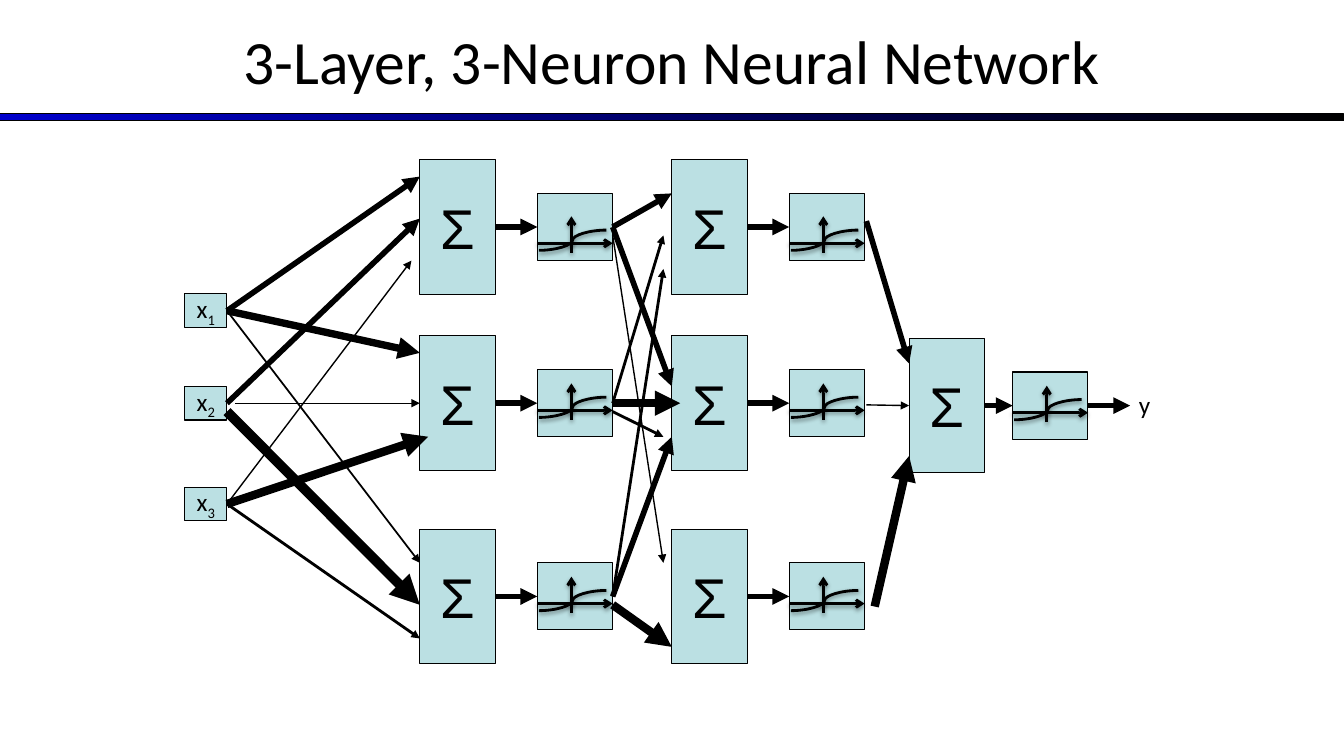
from lxml.etree import SubElement
from pptx import Presentation
from pptx.dml.color import RGBColor
from pptx.enum.shapes import MSO_CONNECTOR as LINK, MSO_SHAPE as SHAPE
from pptx.enum.text import MSO_ANCHOR as ANCHOR, PP_ALIGN as ALIGN
from pptx.oxml.ns import qn
from pptx.util import Cm, Pt

WIDTH, HEIGHT = 33.87, 19.05
STEP = 2.54 / 12
BLACK, BLUE, TEAL = "000000", "0000CC", "BBE0E3"
ROWS = [5.72, 10.16, 15.03]
INPUT_ROWS = [7.83, 10.16, 12.7]
PLOT_DROPS = [0.41, 0.18, 0.18]
RIGHT, LEFT = 3, 1

# Each weight: source, target, line width, start shift and end shift in steps.
INPUT_WEIGHTS = [
    (0, 2, 1.25, (0, 0), (0, -4)), (1, 2, 7, (0, 1), (0, 1)), (2, 2, 2, (0, 0), (0, 5)),
    (0, 1, 5.25, (0, 0), (0, -6)), (1, 1, 1, (1, 0), (0, 0)), (2, 1, 6, (0, 0), (1, 4)),
    (0, 0, 4, (0, 0), (0, -6)), (1, 0, 4, (0, 0), (0, -1)), (2, 0, 1, (0, 0), (-1, 4)),
]
HIDDEN_WEIGHTS = [
    (0, 0, 4, (0, 0), (0, -4)), (0, 1, 4, (0, 0), (0, -2)), (0, 2, 1, (0, 1), (-1, -4)),
    (2, 2, 6, (0, 1), (0, 6)), (1, 1, 6, (0, 0), (1, 0)), (2, 1, 4, (0, 0), (0, 4)),
    (2, 0, 2, (0, 0), (-1, 5)), (1, 0, 2, (0, 0), (-1, 1)), (1, 1, 2, (0, 1), (-1, 4)),
]
OUTPUT_WEIGHTS = [
    (2, 0, 6, (1.2, 1.2), (0, 6)), (1, 0, 1, (0.2, 0.2), (0, 0)),
    (0, 0, 4, (0.2, -0.7), (0, -5)),
]


def colour(code):
    """Turn a hex string into a colour."""
    return RGBColor.from_string(code)


def write(box, text, size=18, font="Calibri", align=ALIGN.CENTER, subscript="",
          anchor=ANCHOR.MIDDLE, wrap=False):
    """Write one formatted line of text, with an optional subscript."""
    frame = box.text_frame
    frame.word_wrap = wrap
    frame.vertical_anchor = anchor
    para = frame.paragraphs[0]
    para.alignment = align
    for part in filter(None, (text, subscript)):
        span = para.add_run()
        span.text = part
        span.font.size, span.font.name = Pt(size), font
        span.font.color.rgb = colour(BLACK)
    if subscript:
        span.font._element.set("baseline", "-25000")


def add_box(page, left, middle, width, height, fill=TEAL):
    """Add an outlined rectangle centred on a height."""
    box = page.shapes.add_shape(SHAPE.RECTANGLE, Cm(left), Cm(middle - height / 2),
                                Cm(width), Cm(height))
    box.shadow.inherit = False
    box.fill.solid()
    box.fill.fore_color.rgb = colour(fill)
    box.line.color.rgb, box.line.width = colour(BLACK), Pt(0.75)
    return box


def add_line(page, start, end, width, head="triangle", kind=LINK.STRAIGHT, shadow=False):
    """Add a line between two points, with an arrowhead and a shadow if asked."""
    line = page.shapes.add_connector(kind, *(int(value) for value in (*start, *end)))
    line.line.color.rgb, line.line.width = colour(BLACK), Pt(width)
    properties = line._element.spPr
    if head:
        SubElement(properties.find(qn("a:ln")), qn("a:tailEnd"), type=head)
    effects = SubElement(properties, qn("a:effectLst"))
    if shadow:
        outer = SubElement(effects, qn("a:outerShdw"), blurRad=str(Pt(3.1)),
                           dist=str(Pt(1.6)), dir="5400000", rotWithShape="0")
        shade = SubElement(outer, qn("a:srgbClr"), val=BLACK)
        SubElement(shade, qn("a:alpha"), val="38000")
    return line


def join(page, source, target, width=4, start_shift=(0, 0), end_shift=(0, 0)):
    """Draw an arrow from the right side of one box to the left side of another."""
    start = (source.left + source.width + Cm(start_shift[0] * STEP),
             source.top + source.height / 2 + Cm(start_shift[1] * STEP))
    end = (target.left + Cm(end_shift[0] * STEP),
           target.top + target.height / 2 + Cm(end_shift[1] * STEP))
    arrow = add_line(page, start, end, width)
    if not any(start_shift):
        arrow.begin_connect(source, RIGHT)
    if not any(end_shift):
        arrow.end_connect(target, LEFT)


def join_layers(page, sources, targets, weights):
    """Draw every weighted arrow between two layers."""
    for source, target, width, start_shift, end_shift in weights:
        join(page, sources[source], targets[target], width, start_shift, end_shift)


def add_sigmoid(page, left, axis):
    """Draw the axes and the sigmoid curve inside an activation box."""
    for x1, y1, x2, y2, head, kind in (
            (0, 0, 1.9, 0, "arrow", LINK.STRAIGHT),
            (0.86, 0.24, 0.86, -0.68, "arrow", LINK.STRAIGHT),
            (0.04, 0.18, 1.74, -0.33, None, LINK.CURVE)):
        add_line(page, (Cm(left + x1), Cm(axis + y1)), (Cm(left + x2), Cm(axis + y2)),
                 2, head, kind, shadow=True)


def add_neuron(page, left, middle, gap=1.06, drop=0.18):
    """Draw a sum box and its activation box, and return both."""
    total = add_box(page, left, middle, 1.9, 3.39)
    write(total, "Σ", size=40, font="Arial")
    activation_left = left + 1.9 + gap
    activation = add_box(page, activation_left, middle, 1.9, 1.69)
    join(page, total, activation)
    add_sigmoid(page, activation_left, middle + drop)
    return total, activation


def add_layer(page, left):
    """Draw a column of three neurons and return its sums and activations."""
    return zip(*(add_neuron(page, left, middle, drop=drop)
                 for middle, drop in zip(ROWS, PLOT_DROPS)))


def add_inputs(page, left):
    """Draw the column of input boxes."""
    boxes = []
    for number, middle in enumerate(INPUT_ROWS, 1):
        box = add_box(page, left, middle, 1.06, 0.85)
        write(box, "x", subscript=str(number))
        boxes.append(box)
    return boxes


def add_output(page, left, middle):
    """Draw the output neuron with its arrow and label, and return its sum box."""
    total, activation = add_neuron(page, left, middle, gap=0.71)
    edge = left + 4.51
    arrow = add_line(page, (Cm(edge), Cm(middle)), (Cm(edge + 1.06), Cm(middle)), 4)
    arrow.begin_connect(activation, RIGHT)
    label = page.shapes.add_textbox(Cm(edge + 1.03), Cm(middle - 0.54), Cm(1.17), Cm(1.12))
    write(label, "y", align=ALIGN.LEFT, anchor=ANCHOR.TOP, wrap=True)
    return total


def add_header(page, text):
    """Draw the title and the gradient bar below it."""
    bar = add_box(page, 0, 2.96, WIDTH, 0.18)
    bar.fill.gradient()
    bar.fill.gradient_angle = 0
    for stop, code in zip(bar.fill.gradient_stops, (BLUE, BLACK)):
        stop.color.rgb = colour(code)
    title = page.shapes.add_textbox(0, Cm(-0.08), Cm(WIDTH), Cm(3.18))
    write(title, text, size=44, wrap=True)


def add_network(page):
    """Draw the layers from left to right and the weights between them."""
    inputs = add_inputs(page, 4.66)
    first_sums, first_activations = add_layer(page, 10.58)
    join_layers(page, inputs, first_sums, INPUT_WEIGHTS)
    second_sums, second_activations = add_layer(page, 16.93)
    join_layers(page, first_activations, second_sums, HIDDEN_WEIGHTS)
    output = add_output(page, 22.91, 10.22)
    join_layers(page, second_activations, [output], OUTPUT_WEIGHTS)


def main():
    """Build and save the deck."""
    deck = Presentation()
    deck.slide_width, deck.slide_height = Cm(WIDTH), Cm(HEIGHT)
    page = deck.slides.add_slide(deck.slide_layouts[6])
    add_header(page, "3-Layer, 3-Neuron Neural Network")
    add_network(page)
    deck.save("out.pptx")


if __name__ == "__main__":
    main()
